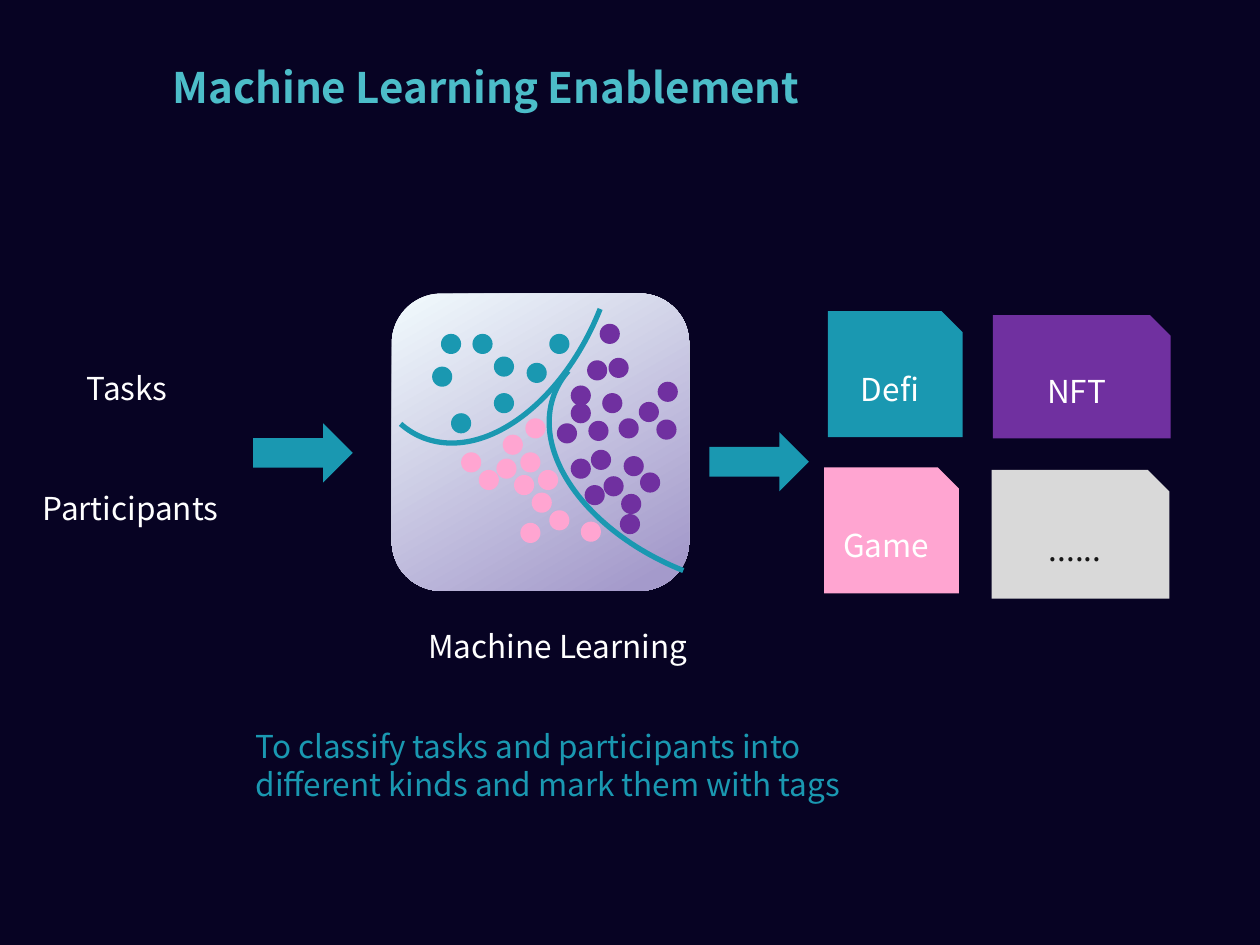
from dataclasses import dataclass
from typing import Any

from pptx import Presentation
from pptx.dml.color import RGBColor as RGB
from pptx.enum.shapes import MSO_SHAPE as Kind
from pptx.enum.text import MSO_ANCHOR as Anchor
from pptx.enum.text import MSO_AUTO_SIZE as Auto
from pptx.enum.text import PP_ALIGN as Align
from pptx.util import Inches, Pt


@dataclass(frozen=True)
class Theme:
    face: str = "Noto Sans CJK SC"
    head: int = 24
    body: int = 18
    night: str = "070323"
    aqua: str = "4CBDC9"
    white: str = "FFFFFF"
    ink: str = "171717"
    teal: str = "1A98B1"
    pink: str = "FFA5D1"
    plum: str = "7030A0"
    grey: str = "D9D9D9"
    frost: str = "F2FBFD"
    mauve: str = "A49ACB"


@dataclass(frozen=True)
class Box:
    left: float
    top: float
    width: float
    height: float

    def emu(self) -> list[int]:
        return [Inches(n) for n in (self.left, self.top, self.width, self.height)]


@dataclass(frozen=True)
class Label:
    box: Box
    lines: tuple[str, ...]
    tint: str
    align: Any = Align.LEFT


@dataclass(frozen=True)
class Tag:
    box: Box
    text: str
    fill: str
    tint: str


@dataclass(frozen=True)
class Class:
    tint: str
    spots: tuple[tuple[float, float], ...]


T = Theme()
DOT = 0.16

LABELS = (
    Label(Box(0.59, 2.88, 0.89, 0.4), ("Tasks",), T.white),
    Label(Box(0.24, 3.83, 1.6, 0.4), ("Participants",), T.white),
    Label(Box(3.25, 4.93, 2.36, 0.4), ("Machine Learning",), T.white, Align.CENTER),
    Label(Box(1.93, 5.72, 5.15, 1.01),
          ("To classify tasks and participants into",
           "different kinds and mark them with tags"), T.teal),
)
ARROWS = (Box(2.01, 3.36, 0.79, 0.47), Box(5.63, 3.43, 0.79, 0.47))
TAGS = (
    Tag(Box(6.57, 2.47, 1.07, 1), "Defi", T.teal, T.white),
    Tag(Box(7.88, 2.5, 1.41, 0.98), "NFT", T.plum, T.white),
    Tag(Box(6.54, 3.71, 1.07, 1), "Game", T.pink, T.white),
    Tag(Box(7.87, 3.73, 1.41, 1.02), "......", T.grey, T.ink),
)
CARD = Box(3.11, 2.33, 2.36, 2.36)
CURVES = ((Box(2.41, 1.15, 2.97, 1.88), 111), (Box(4.3, 2.72, 2.97, 1.88), 201))
GROUPS = (
    Class(T.teal, (
        (3.5, 2.65), (3.75, 2.65), (3.43, 2.91), (3.92, 2.83),
        (4.36, 2.65), (4.18, 2.88), (3.92, 3.12), (3.58, 3.28))),
    Class(T.pink, (
        (3.66, 3.59), (3.8, 3.73), (3.94, 3.64), (4.08, 3.77),
        (4.22, 3.91), (4.36, 4.05), (4.13, 4.15), (4.61, 4.14),
        (3.99, 3.45), (4.13, 3.59), (4.27, 3.73), (4.17, 3.32))),
    Class(T.plum, (
        (4.53, 3.2), (4.67, 3.34), (4.69, 3.57), (4.95, 3.62),
        (5.08, 3.75), (4.42, 3.36), (4.53, 3.64), (4.79, 3.78),
        (4.93, 3.92), (4.92, 4.08), (4.66, 2.86), (4.76, 2.57),
        (4.64, 3.85), (4.53, 3.06), (4.83, 2.84), (5.22, 3.03),
        (4.91, 3.32), (5.07, 3.19), (5.21, 3.33), (4.78, 3.12))),
)


def write(para: Any, text: str, tint: str, size: int = T.body, **more: Any) -> None:
    """Add one styled run to a paragraph."""
    run = para.add_run()
    run.text = text
    look = {"name": T.face, "size": Pt(size), **more}
    for key, value in look.items():
        setattr(run.font, key, value)
    run.font.color.rgb = RGB.from_string(tint)


def draw(shapes: Any, kind: Any, box: Box, fill: str | None = None) -> Any:
    """Add a flat shape with no outline."""
    shape = shapes.add_shape(kind, *box.emu())
    shape.shadow.inherit = False
    shape.line.fill.background()
    if fill:
        shape.fill.solid()
        shape.fill.fore_color.rgb = RGB.from_string(fill)
    else:
        shape.fill.background()
    return shape


def draw_label(shapes: Any, label: Label) -> None:
    frame = shapes.add_textbox(*label.box.emu()).text_frame
    frame.word_wrap = False
    frame.auto_size = Auto.SHAPE_TO_FIT_TEXT
    for i, line in enumerate(label.lines):
        para = frame.add_paragraph() if i else frame.paragraphs[0]
        para.alignment = label.align
        write(para, line, label.tint)


def draw_tag(shapes: Any, tag: Tag) -> None:
    frame = draw(shapes, Kind.SNIP_1_RECTANGLE, tag.box, tag.fill).text_frame
    frame.vertical_anchor = Anchor.MIDDLE
    para = frame.paragraphs[0]
    para.alignment = Align.CENTER
    para.line_spacing = 1.5
    write(para, tag.text, tag.tint)


def draw_curve(shapes: Any, box: Box, turn: int) -> None:
    arc = draw(shapes, Kind.ARC, box)
    arc.adjustments[0], arc.adjustments[1] = 163, 5
    arc.rotation = turn
    arc.line.color.rgb = RGB.from_string(T.teal)
    arc.line.width = Pt(3)


def draw_model(shapes: Any) -> None:
    """Draw the card with its classes of dots and the curves between them."""
    group = shapes.add_group_shape().shapes
    card = draw(group, Kind.ROUNDED_RECTANGLE, CARD)
    card.fill.gradient()
    card.fill.gradient_angle = 300
    for stop, (place, tint) in zip(card.fill.gradient_stops, ((0, T.frost), (0.93, T.mauve))):
        stop.position = place
        stop.color.rgb = RGB.from_string(tint)
    for kin in GROUPS:
        for left, top in kin.spots:
            draw(group, Kind.OVAL, Box(left, top, DOT, DOT), kin.tint)
    for box, turn in CURVES:
        draw_curve(group, box, turn)


def set_title(title: Any, box: Box, text: str) -> None:
    title.left, title.top, title.width, title.height = box.emu()
    frame = title.text_frame
    frame.vertical_anchor = Anchor.MIDDLE
    frame.auto_size = Auto.SHAPE_TO_FIT_TEXT
    para = frame.paragraphs[0]
    para.alignment = Align.LEFT
    para.line_spacing = 0.9
    write(para, text, T.aqua, T.head, bold=True)


def main() -> None:
    deck = Presentation()
    deck.slide_width, deck.slide_height = Inches(10), Inches(7.5)
    slide = deck.slides.add_slide(deck.slide_layouts[5])
    shapes = slide.shapes

    # Backdrop and title
    slide.background.fill.solid()
    slide.background.fill.fore_color.rgb = RGB.from_string(T.night)
    set_title(shapes.title, Box(1.27, 0.48, 6.47, 0.46), "Machine Learning Enablement")

    # Flow from inputs through the model to the tags
    draw_model(shapes)
    for box in ARROWS:
        draw(shapes, Kind.RIGHT_ARROW, box, T.teal)
    for tag in TAGS:
        draw_tag(shapes, tag)

    # Labels
    for label in LABELS:
        draw_label(shapes, label)

    deck.save("out.pptx")


if __name__ == "__main__":
    main()
